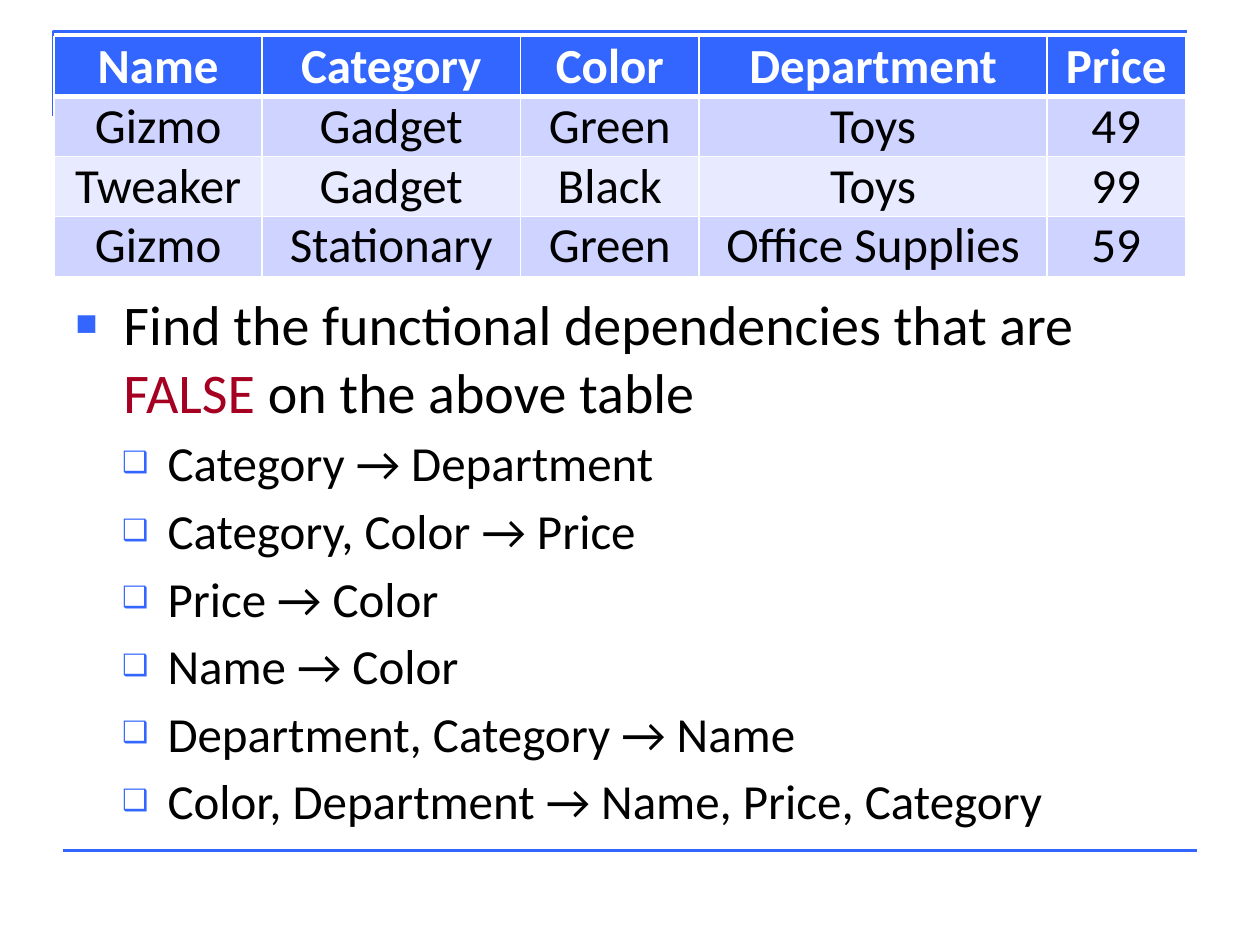
import pptx
import pptx.util
import pptx.dml.color
import pptx.enum.shapes
import pptx.enum.text
import pptx.oxml
import pptx.oxml.ns
from lxml import etree

Inches = pptx.util.Inches
Pt = pptx.util.Pt
RGB = pptx.dml.color.RGBColor
qn = pptx.oxml.ns.qn

BLUE = RGB(0x33, 0x66, 0xFF)
BAND = RGB(0xCE, 0xD3, 0xFF)
PALE = RGB(0xE8, 0xEA, 0xFF)
RED = RGB(0xA5, 0x00, 0x21)
BLACK = RGB(0, 0, 0)
WHITE = RGB(0xFF, 0xFF, 0xFF)
FONT = "Calibri"

COLS = [1.65, 2.05, 1.42, 2.76, 1.1]
ROWS = [
    ["Name", "Category", "Color", "Department", "Price"],
    ["Gizmo", "Gadget", "Green", "Toys", "49"],
    ["Tweaker", "Gadget", "Black", "Toys", "99"],
    ["Gizmo", "Stationary", "Green", "Office Supplies", "59"],
]
TASK = [
    ("Find the functional dependencies that are ", BLACK),
    ("FALSE ", RED),
    ("on the above table", BLACK),
]
RULES = [
    "Category → Department",
    "Category, Color → Price",
    "Price → Color",
    "Name → Color",
    "Department, Category → Name",
    "Color, Department → Name, Price, Category",
]


def add_run(para, text, size, color, bold=False):
    run = para.add_run()
    run.text = text
    font = run.font
    font.name, font.size, font.bold = FONT, Pt(size), bold
    font.color.rgb = color


def set_line(line):
    line.color.rgb = BLUE
    line.width = Pt(1.5)


def add_frame(slide, left, top, width, height):
    # Corner rule at the top left
    form = slide.shapes.build_freeform(Inches(left), Inches(top + height))
    form.add_line_segments(
        [(Inches(left), Inches(top)), (Inches(left + width), Inches(top))],
        close=False)
    corner = form.convert_to_shape()
    corner.shadow.inherit = False
    corner.fill.background()
    set_line(corner.line)


def add_foot(slide, left, top, width):
    # Rule below the list
    rule = slide.shapes.add_connector(
        pptx.enum.shapes.MSO_CONNECTOR.STRAIGHT,
        Inches(left), Inches(top), Inches(left + width), Inches(top))
    set_line(rule.line)
    etree.SubElement(rule._element.spPr, qn("a:effectLst"))


def set_edges(cell, head):
    props = cell._tc.get_or_add_tcPr()
    for i, side in enumerate("LRTB"):
        wide = 3 if head and side == "B" else 1
        edge = pptx.oxml.parse_xml(
            f'<a:ln{side} {pptx.oxml.ns.nsdecls("a")} w="{Pt(wide)}">'
            f'<a:solidFill><a:srgbClr val="{WHITE}"/></a:solidFill>'
            f'</a:ln{side}>')
        props.insert(i, edge)


def add_grid(slide, left, top, width, height):
    table = slide.shapes.add_table(
        len(ROWS), len(COLS), Inches(left), Inches(top),
        Inches(width), Inches(height)).table
    table.horz_banding = False
    for col, size in zip(table.columns, COLS):
        col.width = Inches(size)
    for r, row in enumerate(ROWS):
        head = r == 0
        for c, text in enumerate(row):
            cell = table.cell(r, c)
            cell.margin_left = cell.margin_right = 0
            cell.margin_top = cell.margin_bottom = 0
            cell.fill.solid()
            cell.fill.fore_color.rgb = BLUE if head else (PALE, BAND)[r % 2]
            set_edges(cell, head)
            para = cell.text_frame.paragraphs[0]
            para.alignment = pptx.enum.text.PP_ALIGN.CENTER
            add_run(para, text, 28, WHITE if head else BLACK, head)


def set_bullet(para, char, size, left, hang):
    props = para._p.get_or_add_pPr()
    props.set("marL", str(Inches(left)))
    props.set("indent", str(-Inches(hang)))
    color = etree.SubElement(props, qn("a:buClr"))
    etree.SubElement(color, qn("a:srgbClr"), val=str(BLUE))
    etree.SubElement(props, qn("a:buSzPct"), val=str(size * 1000))
    etree.SubElement(props, qn("a:buFont"), typeface="Arial")
    etree.SubElement(props, qn("a:buChar"), char=char)


def add_list(slide, left, top, width, height):
    body = slide.placeholders[1]
    body.left, body.top = Inches(left), Inches(top)
    body.width, body.height = Inches(width), Inches(height)
    frame = body.text_frame
    frame.word_wrap = True
    frame.auto_size = pptx.enum.text.MSO_AUTO_SIZE.NONE
    frame.vertical_anchor = pptx.enum.text.MSO_ANCHOR.TOP
    # Task line
    para = frame.paragraphs[0]
    set_bullet(para, "■", 65, 0.38, 0.38)
    para.space_before = Pt(0)
    for text, color in TASK:
        add_run(para, text, 32, color)
    # Candidate dependencies
    for text in RULES:
        para = frame.add_paragraph()
        para.level = 1
        set_bullet(para, "❑", 60, 0.73, 0.36)
        para.space_before = Pt(5)
        add_run(para, text, 28, BLACK)


def main():
    deck = pptx.Presentation()
    deck.slide_width, deck.slide_height = Inches(10), Inches(7.5)
    slide = deck.slides.add_slide(deck.slide_layouts[1])
    title = slide.shapes.title._element
    title.getparent().remove(title)
    add_frame(slide, 0.42, 0.25, 9, 0.67)
    add_foot(slide, 0.5, 6.75, 9)
    add_list(slide, 0.5, 2.25, 9, 4.45)
    add_grid(slide, 0.43, 0.29, sum(COLS), 1.88)
    deck.save("out.pptx")


if __name__ == "__main__":
    main()
